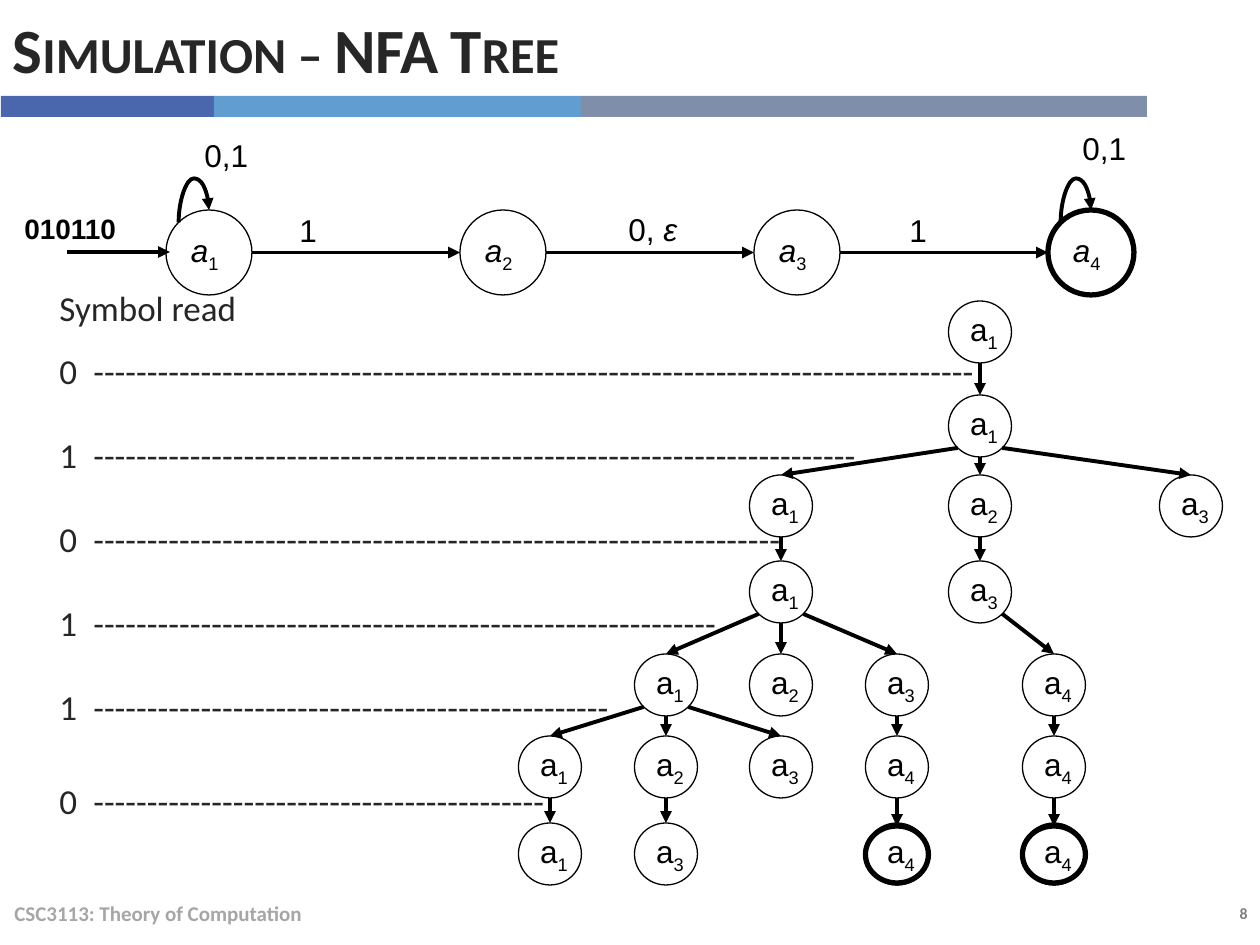
"""Build the NFA tree simulation slide."""
from lxml import etree
from pptx import Presentation
from pptx.dml.color import RGBColor
from pptx.enum.shapes import MSO_CONNECTOR, MSO_SHAPE
from pptx.enum.text import MSO_ANCHOR, MSO_AUTO_SIZE, PP_ALIGN
from pptx.oxml.ns import qn
from pptx.util import Pt

ELLIPSE, RECTANGLE = MSO_SHAPE.OVAL, MSO_SHAPE.RECTANGLE
STRAIGHT, CURVE = MSO_CONNECTOR.STRAIGHT, MSO_CONNECTOR.CURVE
TOP, MIDDLE = MSO_ANCHOR.TOP, MSO_ANCHOR.MIDDLE
LEFT, RIGHT = PP_ALIGN.LEFT, PP_ALIGN.RIGHT
NO_FIT = MSO_AUTO_SIZE.NONE

SCALE = 914400 / 126
COLORS = {"ink": "000000", "text": "262626", "footer": "A6A6A6", "number": "808080",
          "indigo": "4A66AC", "sky": "629DD1", "slate": "7F8FA9"}

TITLE = "Simulation – NFA Tree"
BARS = [("indigo", 1, 214), ("sky", 214, 581), ("slate", 581, 1147)]
BAR_TOP, BAR_HEIGHT = 96, 21
READ_HEADING = "Symbol read"
READS = [("0", 82, 12), ("1", 71, 24), ("0", 64, 24), ("1", 58, 24), ("1", 48, 24), ("0", 42, 30)]
READ_BOX, READ_INDENT = (47, 280, 1207, 549), 34

STATES, STATE_CENTER, STATE_STEP = 4, 209, 294
STATE_TOP, STATE_SIZE = 210, (86, 85)
LOOPED, ACCEPTING = (1, 4), 4
START_ARROW = (67, 252, 170, 252)

NODE_SIZE, RING_SIZE, RING_DROP = (63, 62), (63, 57), 3
TREE = [
    (301, [(980, 1, None)]),
    (395, [(980, 1, 980)]),
    (475, [(781, 1, 980), (980, 2, 980), (1191, 3, 980)]),
    (561, [(781, 1, 781), (980, 3, 980)]),
    (654, [(666, 1, 781), (781, 2, 781), (897, 3, 781), (1054, 4, 980)]),
    (736, [(550, 1, 666), (666, 2, 666), (781, 3, 666), (897, 4, 897), (1054, 4, 1054)]),
    (823, [(550, 1, 550), (666, 3, 666), (897, 4, 897), (1054, 4, 1054)]),
]

LABELS = [
    ([("0,1", False)], (192, 130, 73, 50)),
    ([("1", False)], (287, 205, 73, 38)),
    ([("0, ", False), ("ε", True)], (616, 204, 100, 50)),
    ([("1", False)], (897, 205, 43, 38)),
    ([("0,1", False)], (1070, 123, 73, 38)),
]
INPUT_WORD, INPUT_BOX = "010110", (12, 205, 150, 34)
FOOTER, FOOTER_BOX = "CSC3113: Theory of Computation", (2, 888, 844, 50)
NUMBER, NUMBER_BOX = "8", (1100, 898, 160, 32)

SITES = {"top": (0, 0.5, 0), "top left": (1, 0.1464, 0.1464), "left": (2, 0, 0.5),
         "bottom left": (3, 0.1464, 0.8536), "bottom": (4, 0.5, 1),
         "bottom right": (5, 0.8536, 0.8536), "right": (6, 1, 0.5)}


def emu(*pixels):
    return [round(value * SCALE) for value in pixels]


def color(name):
    return RGBColor.from_string(COLORS[name])


def style(para, size, name, face="Arial", bold=False, align=LEFT):
    para.alignment = align
    font = para.font
    font.size, font.name, font.bold = Pt(size), face, bold
    font.color.rgb = color(name)


def add_text(box_place, spans, size, name, anchor=TOP, **look):
    box = page.shapes.add_textbox(*emu(*box_place))
    frame = box.text_frame
    frame.word_wrap, frame.vertical_anchor = True, anchor
    para = frame.paragraphs[0]
    for text, italic in spans:
        span = para.add_run()
        span.text = text
        if italic:
            span.font.italic = True
    style(para, size, name, **look)


def add_ellipse(center, top, size, weight, state=None, italic=False):
    shape = page.shapes.add_shape(ELLIPSE, *emu(center - size[0] / 2, top, *size))
    shape.shadow.inherit = False
    shape.fill.background()
    shape.line.color.rgb = color("ink")
    shape.line.width = Pt(weight)
    if state:
        frame = shape.text_frame
        frame.word_wrap, frame.vertical_anchor = False, MIDDLE
        para = frame.paragraphs[0]
        letter, index = para.add_run(), para.add_run()
        letter.text, index.text = "a", str(state)
        if italic:
            letter.font.italic = True
        index.font._element.set("baseline", "-25000")
        style(para, 18, "ink")
    return shape


def add_arrow(kind, ends):
    arrow = page.shapes.add_connector(kind, *ends)
    arrow.line.color.rgb = color("ink")
    arrow.line.width = Pt(2.25)
    properties = arrow.element.spPr
    etree.SubElement(properties.find(qn("a:ln")), qn("a:tailEnd"), type="triangle")
    etree.SubElement(properties, qn("a:effectLst"))
    return arrow


def link(source, source_site, target, target_site, kind=STRAIGHT):
    joints = [("a:stCxn", source, SITES[source_site]), ("a:endCxn", target, SITES[target_site])]
    ends = []
    for _, shape, (_, across, down) in joints:
        ends += [round(shape.left + across * shape.width), round(shape.top + down * shape.height)]
    arrow = add_arrow(kind, ends)
    holder = arrow.element.find(".//" + qn("p:cNvCxnSpPr"))
    for tag, shape, (site, _, _) in joints:
        etree.SubElement(holder, qn(tag), id=str(shape.shape_id), idx=str(site))
    return arrow


def add_loop(state):
    loop = link(state, "top left", state, "top", CURVE)
    middle_x, middle_y = loop.left + loop.width // 2, loop.top + loop.height // 2
    loop.width, loop.height = loop.height, loop.width
    loop.left, loop.top = middle_x - loop.width // 2, middle_y - loop.height // 2
    frame = loop.element.spPr.find(qn("a:xfrm"))
    for key, value in (("rot", "5400000"), ("flipH", "1"), ("flipV", "1")):
        frame.set(key, value)
    guides = loop.element.find(".//" + qn("a:avLst"))
    etree.SubElement(guides, qn("a:gd"), name="adj1", fmla="val 353500")


deck = Presentation()
deck.slide_width, deck.slide_height = emu(1260, 945)
page = deck.slides.add_slide(deck.slide_layouts[5])

for name, start, end in BARS:
    bar = page.shapes.add_shape(RECTANGLE, *emu(start, BAR_TOP, end - start, BAR_HEIGHT))
    bar.shadow.inherit = False
    bar.fill.solid()
    bar.fill.fore_color.rgb = color(name)
    bar.line.fill.background()

title = page.shapes.title
title.left, title.top, title.width, title.height = emu(0, 0, 1147, 96)
title.text_frame.text = TITLE
title.text_frame.auto_size, title.text_frame.vertical_anchor = NO_FIT, MIDDLE
heading = title.text_frame.paragraphs[0]
style(heading, 36, "text", "Calibri", bold=True)
heading.runs[0].font._element.set("cap", "small")

reads = page.shapes.add_textbox(*emu(*READ_BOX)).text_frame
reads.word_wrap = True
rows = [(READ_HEADING, 6)] + [(f"{symbol}\t{'-' * dashes}", gap) for symbol, dashes, gap in READS]
for number, (text, gap) in enumerate(rows):
    para = reads.add_paragraph() if number else reads.paragraphs[0]
    para.text = text
    para.space_before = Pt(gap)
    style(para, 20, "text", "Calibri")
    indent = emu(READ_INDENT)[0]
    para._p.get_or_add_pPr().set("marL", str(indent))
    para._p.get_or_add_pPr().set("indent", str(-indent))

states = []
for state in range(1, STATES + 1):
    center = STATE_CENTER + (state - 1) * STATE_STEP
    weight = 3 if state == ACCEPTING else 0.75
    states.append(add_ellipse(center, STATE_TOP, STATE_SIZE, weight, state, True))
    if state in LOOPED:
        add_loop(states[-1])
for source, target in zip(states, states[1:]):
    link(source, "right", target, "left")
add_arrow(STRAIGHT, emu(*START_ARROW))

parents = {}
for top, nodes in TREE:
    level = {}
    for center, state, parent in nodes:
        level[center] = target = add_ellipse(center, top, NODE_SIZE, 0.75, state)
        if top == TREE[-1][0] and state == ACCEPTING:
            target = add_ellipse(center, top + RING_DROP, RING_SIZE, 3)
        if parent:
            side = "bottom" if center == parent else "bottom left" if center < parent else "bottom right"
            link(parents[parent], side, target, "top")
    parents = level

for spans, place in LABELS:
    add_text(place, spans, 18, "ink")
add_text(INPUT_BOX, [(INPUT_WORD, False)], 16, "ink", bold=True)
add_text(FOOTER_BOX, [(FOOTER, False)], 12, "footer", MIDDLE, face="Calibri", bold=True)
add_text(NUMBER_BOX, [(NUMBER, False)], 9, "number", face="Calibri", bold=True, align=RIGHT)

deck.save("out.pptx")
